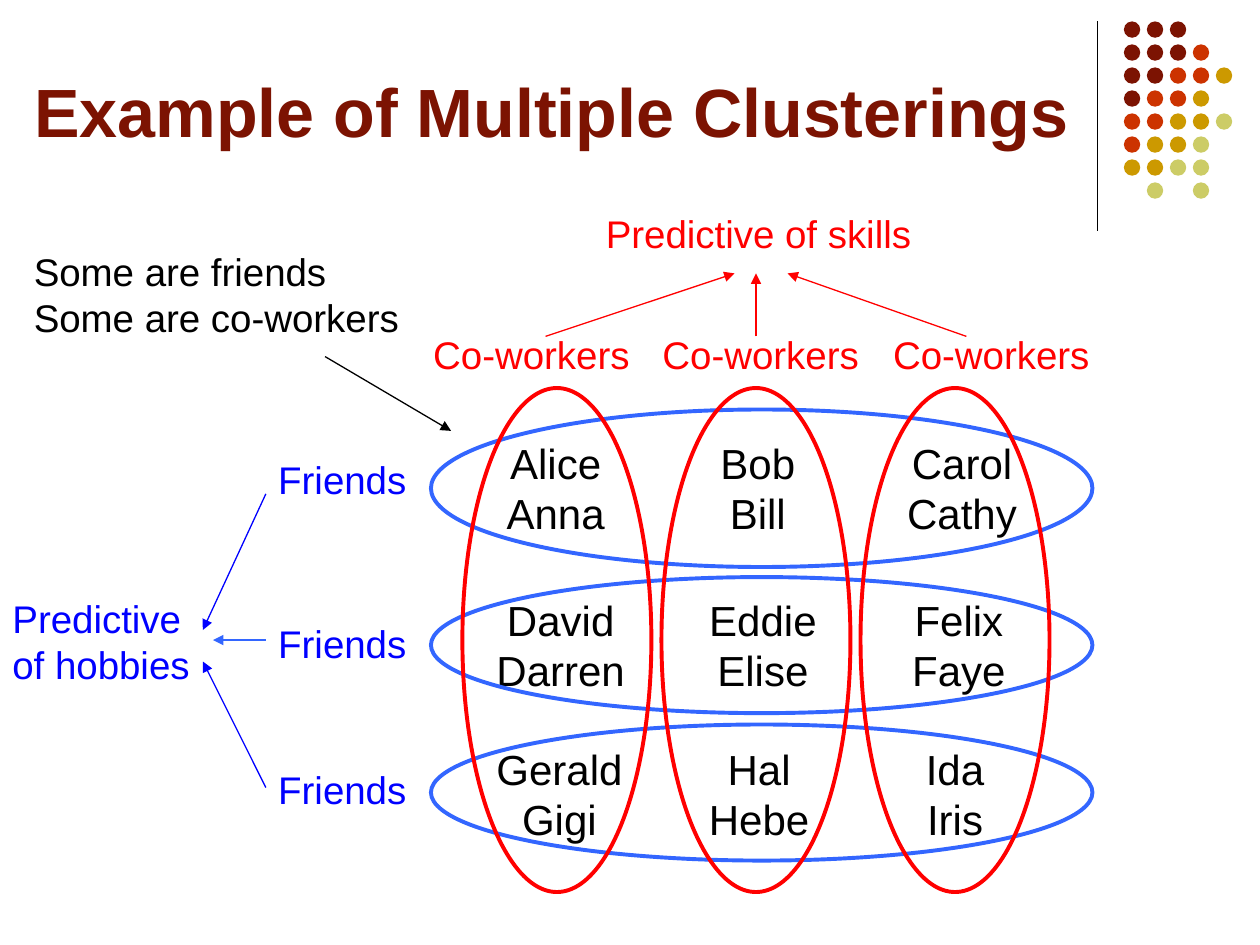
from dataclasses import dataclass

from lxml import etree
from pptx import Presentation
from pptx.dml.color import RGBColor
from pptx.enum import shapes, text
from pptx.oxml import ns
from pptx.util import Inches, Pt


@dataclass(frozen=True)
class Theme:
    font: str = "Arial"
    title_size: float = 39
    name_size: float = 24
    label_size: float = 22
    thin: float = 0.75
    thick: float = 2.25
    black: str = "000000"
    maroon: str = "7C1302"
    orange: str = "CC3300"
    gold: str = "CC9900"
    olive: str = "CCCC66"
    red: str = "FF0000"
    blue: str = "0000FF"
    sky: str = "3366FF"


class Canvas:
    """Draws styled elements on one slide; all lengths are in inches."""

    SLACK = 0.04  # spare label width, so that a tight line never wraps

    def __init__(self, slide, theme):
        self.s = slide
        self.t = theme

    def format_text(self, tf, size, color, align, bold=False):
        for p in tf.paragraphs:
            p.alignment = align
            p.font.name = self.t.font
            p.font.size = Pt(size)
            p.font.bold = bold
            p.font.color.rgb = RGBColor.from_string(color)

    def title(self, words, *box):
        sp = self.s.shapes.title
        sp.left, sp.top, sp.width, sp.height = map(Inches, box)
        tf = sp.text_frame
        tf.text = words
        tf.auto_size = text.MSO_AUTO_SIZE.NONE
        tf.vertical_anchor = text.MSO_ANCHOR.BOTTOM
        self.format_text(tf, self.t.title_size, self.t.maroon, text.PP_ALIGN.LEFT, bold=True)

    def label(self, words, left, top, width, height=0.47, color=None, size=None,
              align=text.PP_ALIGN.LEFT):
        if align == text.PP_ALIGN.CENTER:
            left -= self.SLACK / 2
        sp = self.s.shapes.add_textbox(*map(Inches, (left, top, width + self.SLACK, height)))
        tf = sp.text_frame
        tf.text = words
        tf.word_wrap = False
        tf.auto_size = text.MSO_AUTO_SIZE.NONE
        self.format_text(tf, size or self.t.label_size, color or self.t.black, align)

    def ellipse(self, *box, fill=None, line=None):
        sp = self.s.shapes.add_shape(shapes.MSO_SHAPE.OVAL, *map(Inches, box))
        sp.shadow.inherit = False
        if fill:
            sp.fill.solid()
            sp.fill.fore_color.rgb = RGBColor.from_string(fill)
        else:
            sp.fill.background()
        if line:
            sp.line.color.rgb = RGBColor.from_string(line)
            sp.line.width = Pt(self.t.thick)
        else:
            sp.line.fill.background()

    def line(self, start, end, color, arrow=True):
        cx = self.s.shapes.add_connector(
            shapes.MSO_CONNECTOR.STRAIGHT, *map(Inches, (*start, *end)))
        cx.line.color.rgb = RGBColor.from_string(color)
        cx.line.width = Pt(self.t.thin)
        if arrow:
            etree.SubElement(cx.line._get_or_add_ln(), ns.qn("a:tailEnd"), type="triangle")
        etree.SubElement(cx._element.spPr, ns.qn("a:effectLst"))


def draw_corner(c):
    t = c.t
    c.line((8.71, 0.17), (8.71, 1.83), t.black, arrow=False)
    colors = {"M": t.maroon, "R": t.orange, "G": t.gold, "L": t.olive}
    rows = ["MMM", "MMMR", "MMRRG", "MRRG", "RRGGL", "RGGL", "GGLL", ".L.L"]
    pitch = (9.65 - 8.92) / 4
    for i, row in enumerate(rows):
        for j, key in enumerate(row):
            if key in colors:
                c.ellipse(8.92 + j * pitch, 0.17 + i * pitch, 0.13, 0.13, fill=colors[key])


def draw_names(c):
    """Each row has a top and, per cell, the names, left and width."""
    rows = [
        (3.42, [("Alice\nAnna", 3.92, 0.98), ("Bob\nBill", 5.62, 0.79),
                ("Carol\nCathy", 7.1, 1.07)]),
        (4.67, [("David\nDarren", 3.84, 1.22), ("Eddie\nElise", 5.53, 1.05),
                ("Felix\nFaye", 7.14, 0.94)]),
        (5.85, [("Gerald\nGigi", 3.84, 1.2), ("Hal\nHebe", 5.53, 0.99),
                ("Ida\nIris", 7.25, 0.66)]),
    ]
    for top, cells in rows:
        for names, left, width in cells:
            c.label(names, left, top, width, 0.9, size=c.t.name_size,
                    align=text.PP_ALIGN.CENTER)


def draw_friends(c):
    t = c.t
    for top, height, label_top in [(3.25, 1.25, 3.57), (4.58, 1.08, 4.87), (5.75, 1.08, 6.03)]:
        c.ellipse(3.42, top, 5.25, height, line=t.sky)
        c.label("Friends", 2.11, label_top, 1.21, color=t.blue)
    for y, end, color in [(3.92, (1.61, 5), t.blue), (5.08, (1.69, 5.08), t.sky),
                          (6.25, (1.61, 5.25), t.blue)]:
        c.line((2.11, y), end, color)
    c.label("Predictive\nof hobbies", 0, 4.67, 1.61, 0.84, color=t.blue)


def draw_coworkers(c):
    red = c.t.red
    for i, label_left in enumerate([3.34, 5.16, 6.99]):
        c.ellipse(3.67 + i * 1.58, 3.08, 1.5, 4, line=red)
        c.label("Co-workers", label_left, 2.58, 1.76, color=red)
    c.label("Predictive of skills", 4.71, 1.62, 2.62, color=red)
    for x1, x2 in [(4.33, 5.83), (6, 6), (7.67, 6.25)]:
        c.line((x1, 2.67), (x2, 2.17), red)


def main():
    prs = Presentation()
    prs.slide_width, prs.slide_height = Inches(10), Inches(7.5)
    c = Canvas(prs.slides.add_slide(prs.slide_layouts[5]), Theme())
    draw_corner(c)
    c.title("Example of Multiple Clusterings", 0.17, -0.17, 8.58, 1.42)
    draw_names(c)
    draw_friends(c)
    draw_coworkers(c)
    c.label("Some are friends\nSome are co-workers", 0.17, 1.92, 3.1, 0.84)
    c.line((2.58, 2.83), (3.58, 3.42), c.t.black)
    prs.save("out.pptx")


if __name__ == "__main__":
    main()
